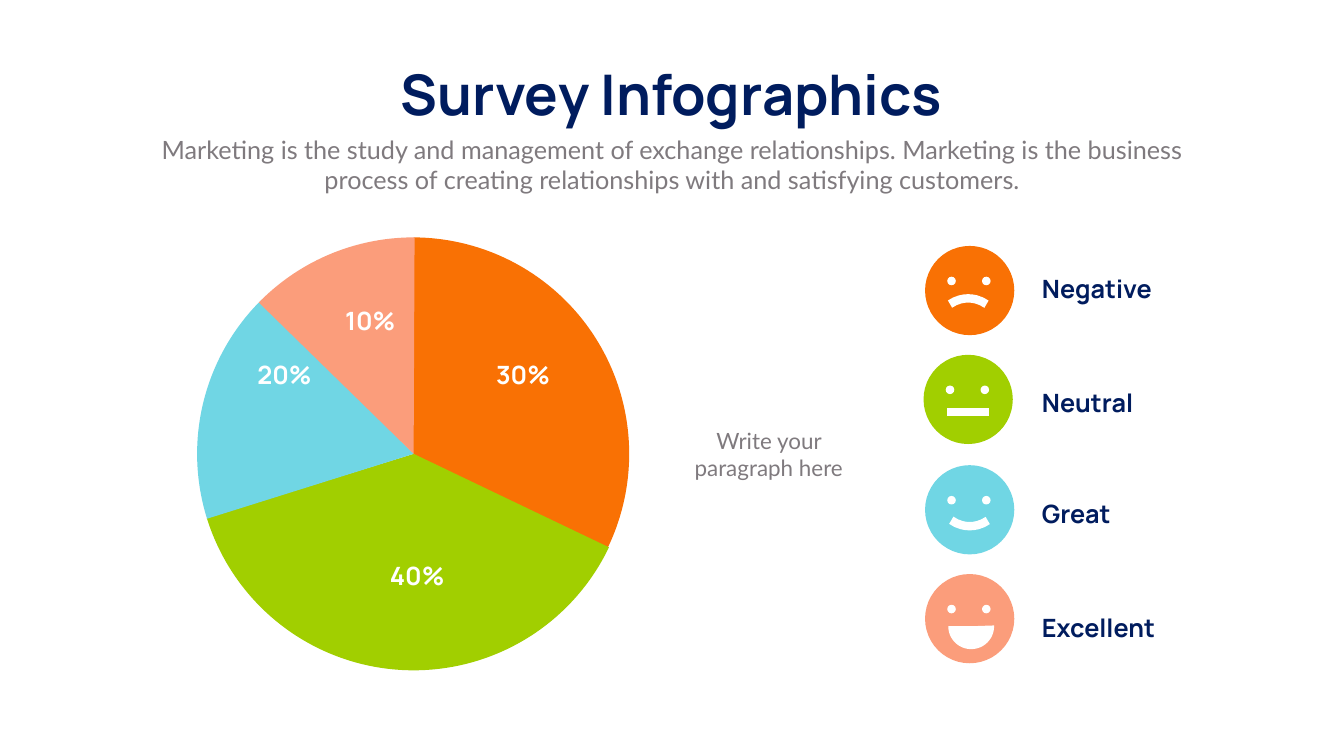
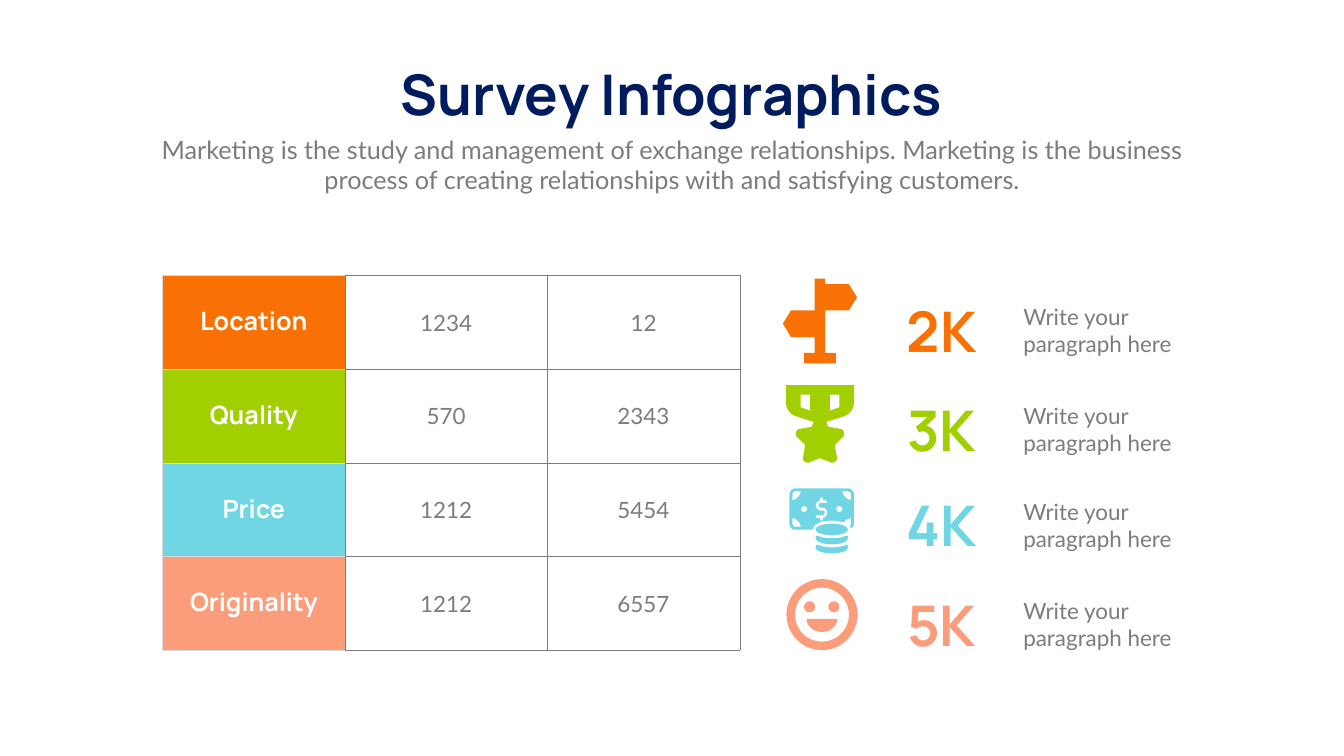
from lxml.etree import SubElement
from pptx import Presentation
from pptx.dml.color import RGBColor
from pptx.enum.shapes import MSO_CONNECTOR, MSO_SHAPE as Shape
from pptx.enum.text import MSO_ANCHOR as Anchor, MSO_AUTO_SIZE as Fit, PP_ALIGN as Align
from pptx.oxml.ns import qn
from pptx.util import Inches, Pt

COLOR = {"orange": "F97104", "green": "A1CF00", "cyan": "70D6E4", "peach": "FB9D7B",
         "navy": "001C5E", "gray": "7F7A7E", "pale": "D9D9D9", "white": "FFFFFF"}
HEAD, BODY = "Manrope", "Lato"

TITLE = "Survey Infographics"
INTRO = ("Marketing is the study and management of exchange relationships. "
         "Marketing is the business process of creating relationships with "
         "and satisfying customers.")
NOTE = "Write your paragraph here"

# color, left, start and end angle in degrees
SLICES = [("orange", 3.89, 270.26, 25.75), ("green", 3.91, 25.57, 162.81),
          ("cyan", 3.91, 162.56, 225.47), ("peach", 3.91, 224.35, 270.25)]
# text, left, top
SHARES = [("40%", 7.24, 11.07), ("30%", 9.34, 7.07), ("20%", 4.61, 7.07), ("10%", 6.31, 6)]
# label, color, face left, face top, label top
MOODS = [("Negative", "orange", 18.35, 4.88, 5.37), ("Neutral", "green", 18.32, 7.04, 7.63),
         ("Great", "cyan", 18.35, 9.23, 9.83), ("Excellent", "peach", 18.35, 11.39, 12.1)]

ROWS = [("Location", "orange", "1234", "12"), ("Quality", "green", "570", "2343"),
        ("Price", "cyan", "1212", "5454"), ("Originality", "peach", "1212", "6557")]
COLS = [3.63, 4, 3.83]
# figure, color, note top
STATS = [("2K", "orange", 5.97), ("3K", "green", 7.93),
         ("4K", "cyan", 9.83), ("5K", "peach", 11.8)]

# Outlines in hundredths of an inch
SIGN = """M 131 63 L 147 37 L 131 11 L 84 11 L 84 0 L 63 0 L 63 63 L 16 63 L 0 89
    L 16 116 L 63 116 L 63 147 L 42 147 L 42 168 L 105 168 L 105 147 L 84 147 L 84 63"""
TROPHY = """M 0 0 L 0 34 C 0 47 8 58 20 62 L 55 73 L 51 83 L 27 87
    C 24 87 21 90 20 93 C 19 97 20 101 22 103 L 38 119 L 34 143
    C 33 146 35 150 37 152 C 39 153 41 154 43 154 C 45 154 46 154 47 153
    L 67 145 L 88 153 C 91 155 95 154 98 152 C 100 150 102 146 101 143
    L 97 119 L 113 103 C 115 101 116 97 115 93 C 114 90 111 87 108 87
    L 84 83 L 80 73 L 115 62 C 127 58 135 47 135 34 L 135 0
    M 48 51 L 29 44 L 29 19 L 48 19 M 106 44 L 87 51 L 87 19 L 106 19"""
NOTE_EDGE = """M 116 0 L 11 0 C 5 0 0 6 0 12 L 0 70 C 0 77 5 82 11 82 L 44 82
    C 46 82 46 81 47 79 C 49 65 78 64 84 64 C 88 64 97 65 106 67
    C 107 67 108 67 109 66 C 112 62 117 60 122 59 L 122 70
    C 122 71 122 73 121 73 C 120 75 120 77 122 78 C 123 78 125 78 126 77
    C 127 75 128 73 128 70 L 128 12 C 128 6 123 0 116 0"""
CORNERS = """M 11 76 C 8 76 6 73 6 70 L 6 59 C 14 60 21 67 23 76
    M 6 23 L 6 12 C 6 9 8 6 11 6 L 23 6 C 21 15 14 22 6 23
    M 122 23 C 113 22 106 15 105 6 L 116 6 C 119 6 122 9 122 12"""
DOTS = """M 29 47 C 26 47 23 44 23 41 C 23 38 26 35 29 35 C 32 35 35 38 35 41
    C 35 44 32 47 29 47
    M 99 47 C 95 47 93 44 93 41 C 93 38 95 35 99 35 C 102 35 105 38 105 41
    C 105 44 102 47 99 47"""
DOLLAR = """M 62 38 L 65 38 C 71 38 75 43 75 48 C 75 53 72 58 67 58 L 67 61
    C 67 63 65 64 64 64 C 62 64 61 63 61 61 L 61 59 L 55 59
    C 53 59 52 57 52 56 C 52 54 53 53 55 53 L 65 53 C 68 53 70 51 70 48
    C 70 46 68 44 65 44 L 62 44 C 57 44 52 39 52 34 C 52 29 56 24 61 24 L 61 21
    C 61 19 62 18 64 18 C 65 18 67 19 67 21 L 67 24 L 72 24
    C 74 24 75 25 75 27 C 75 28 74 29 72 29 L 62 29 C 60 29 58 31 58 34 C 58 36 60 38 62 38"""
BILL = " ".join([NOTE_EDGE, CORNERS, DOTS, DOLLAR])
COIN = """M 63 1 C 62 0 61 0 60 0 C 51 5 37 5 32 5 C 27 5 14 5 4 0 C 3 0 2 0 1 1
    C 1 1 0 2 0 3 L 0 5 C 0 13 17 17 32 17 C 48 17 64 13 64 5 L 64 3 C 64 2 64 1 63 1"""
SMILE = "M 30 26 C 47 26 61 14 61 0 L 0 0 C 0 14 13 26 30 26"
# outline, color, left, top
ICONS = [(SIGN, "orange", 15.53, 5.53), (TROPHY, "green", 15.59, 7.64),
         (BILL, "cyan", 15.66, 9.69), (COIN, "cyan", 16.18, 10.63),
         (COIN, "cyan", 16.18, 10.81), (SMILE, "peach", 16, 12.28)]


def rgb(name):
    return RGBColor.from_string(COLOR[name])


def style(frame, size, font, color, bold=False, align=Align.LEFT):
    for para in frame.paragraphs:
        para.alignment = align
        for run in para.runs:
            run.font.size, run.font.name, run.font.bold = Pt(size), font, bold
            run.font.color.rgb = rgb(color)


def write(slide, text, box, *look, wrap=True, **more):
    frame = slide.shapes.add_textbox(*map(Inches, box)).text_frame
    frame.text = text
    frame.word_wrap = wrap
    frame.auto_size = Fit.SHAPE_TO_FIT_TEXT
    style(frame, *look, **more)


def paint(shape, color):
    shape.shadow.inherit = False
    shape.fill.solid()
    shape.fill.fore_color.rgb = rgb(color)
    shape.line.fill.background()


def draw(slide, kind, box, color, adjust=(), turn=0):
    shape = slide.shapes.add_shape(kind, *map(Inches, box))
    paint(shape, color)
    for i, value in enumerate(adjust):
        shape.adjustments[i] = value
    shape.rotation = turn
    return shape


def angles(*degrees):
    """Turn degrees into adjustment values."""
    return [d * 0.6 for d in degrees]


def trace(outline, steps=6):
    """Split an outline into contours of points, with curves as short lines."""
    parts, words = [], iter(outline.split())
    for word in words:
        count = 3 if word == "C" else 1
        pts = [(int(next(words)), int(next(words))) for _ in range(count)]
        if word == "M":
            parts.append(pts)
        elif word == "L":
            parts[-1] += pts
        else:
            knots = [parts[-1][-1]] + pts
            for i in range(1, steps + 1):
                t = i / steps
                mix = ((1 - t) ** 3, 3 * t * (1 - t) ** 2, 3 * t * t * (1 - t), t ** 3)
                parts[-1].append(tuple(sum(m * k[axis] for m, k in zip(mix, knots))
                                       for axis in (0, 1)))
    return parts


def draw_icon(slide, outline, color, left, top):
    pen = None
    for part in trace(outline):
        first, *rest = [(Inches(x / 100), Inches(y / 100)) for x, y in part]
        if pen is None:
            pen = slide.shapes.build_freeform(*first)
        else:
            pen.move_to(*first)
        pen.add_line_segments(rest, close=True)
    paint(pen.convert_to_shape(Inches(left), Inches(top)), color)


def start(deck):
    """Add a slide with the shared title and intro."""
    slide = deck.slides.add_slide(deck.slide_layouts[5])
    title = slide.shapes.title
    title.left, title.top, title.width, title.height = map(Inches, (7.41, 1.14, 11.83, 1.45))
    frame = title.text_frame
    frame.text = TITLE
    frame.word_wrap = False
    frame.auto_size = Fit.SHAPE_TO_FIT_TEXT
    frame.vertical_anchor = Anchor.TOP
    style(frame, 80, HEAD, "navy", True, Align.CENTER)
    write(slide, INTRO, (2.92, 2.61, 20.82, 1.31), 36, BODY, "gray", align=Align.CENTER)
    return slide


def draw_arc(slide, left, top, turn):
    arc = draw(slide, Shape.ARC, (left, top, 1.25, 1.25), "white",
               angles(279.86, 350.49), turn)
    arc.fill.background()
    arc.line.color.rgb = rgb("white")
    arc.line.width = Pt(12)


def draw_mouth(slide, mood, left, top):
    if mood == "Negative":
        draw_arc(slide, left + 0.23, top + 1.04, 315)
    elif mood == "Great":
        draw_arc(slide, left + 0.26, top - 0.04, 135.2)
    elif mood == "Excellent":
        draw(slide, Shape.PIE, (left + 0.46, top + 0.58, 0.91, 0.91), "white",
             angles(88.04, 270), 270)
    else:
        y = Inches(top + 1.14)
        line = slide.shapes.add_connector(MSO_CONNECTOR.STRAIGHT, Inches(left + 0.47), y,
                                          Inches(left + 1.3), y)
        line.line.color.rgb = rgb("white")
        line.line.width = Pt(12)
        SubElement(line._element.spPr, qn("a:effectLst"))


def add_moods(deck):
    slide = start(deck)
    for color, left, *ends in SLICES:
        draw(slide, Shape.PIE, (left, 4.71, 8.59, 8.59), color, angles(*ends))
    for text, left, top in SHARES:
        write(slide, text, (left, top, 2.07, 0.71), 36, HEAD, "white", True, Align.CENTER)
    write(slide, NOTE, (13.33, 8.43, 3.84, 1.18), 32, BODY, "gray", align=Align.CENTER)
    for mood, color, left, top, label_top in MOODS:
        draw(slide, Shape.OVAL, (left, top, 1.77, 1.77), color)
        for gap in (0.44, 1.13):
            draw(slide, Shape.OVAL, (left + gap, top + 0.61, 0.17, 0.17), "white")
        draw_mouth(slide, mood, left, top)
        write(slide, mood, (20.57, label_top, 2.83, 0.71), 36, HEAD, "navy", True)


def edge(cell, colors):
    """Give a cell 1 pt borders: left, right, top, bottom."""
    props = cell._tc.get_or_add_tcPr()
    for side, color in zip("LRTB", colors):
        line = SubElement(props, qn("a:ln" + side), w=str(Pt(1)))
        fill = SubElement(line, qn("a:solidFill"))
        SubElement(fill, qn("a:srgbClr"), val=COLOR[color])


def add_grid(slide):
    box = map(Inches, (3.22, 5.47, sum(COLS), 7.43))
    table = slide.shapes.add_table(len(ROWS), len(COLS), *box).table
    for col, width in zip(table.columns, COLS):
        col.width = Inches(width)
    for r, (label, color, *values) in enumerate(ROWS):
        for c, text in enumerate([label, *values]):
            cell = table.cell(r, c)
            cell.text = text
            cell.vertical_anchor = Anchor.MIDDLE
            edge(cell, ["gray"] * 4 if c else ["pale", "gray", "pale", "pale"])
            cell.fill.solid()
            cell.fill.fore_color.rgb = rgb("white" if c else color)
            if c:
                style(cell.text_frame, 32, BODY, "gray", align=Align.CENTER)
            else:
                cell.margin_top = 0
                style(cell.text_frame, 36, HEAD, "white", True, Align.CENTER)


def add_scores(deck):
    slide = start(deck)
    add_grid(slide)
    for figure, color, top in STATS:
        write(slide, figure, (17.83, top - 0.14, 1.7, 1.45), 80, HEAD, color, True,
              Align.CENTER, wrap=False)
        write(slide, NOTE, (20.2, top, 3.18, 1.18), 32, BODY, "gray")
    for icon in ICONS:
        draw_icon(slide, *icon)
    draw(slide, Shape.OVAL, (16.18, 10.39, 0.64, 0.23), "cyan")
    draw(slide, Shape.DONUT, (15.6, 11.49, 1.41, 1.41), "peach", [0.12])
    for left in (15.95, 16.43):
        draw(slide, Shape.OVAL, (left, 11.93, 0.22, 0.22), "peach")


def main():
    deck = Presentation()
    deck.slide_width, deck.slide_height = Inches(26.66), Inches(15)
    add_moods(deck)
    add_scores(deck)
    deck.save("out.pptx")


if __name__ == "__main__":
    main()
